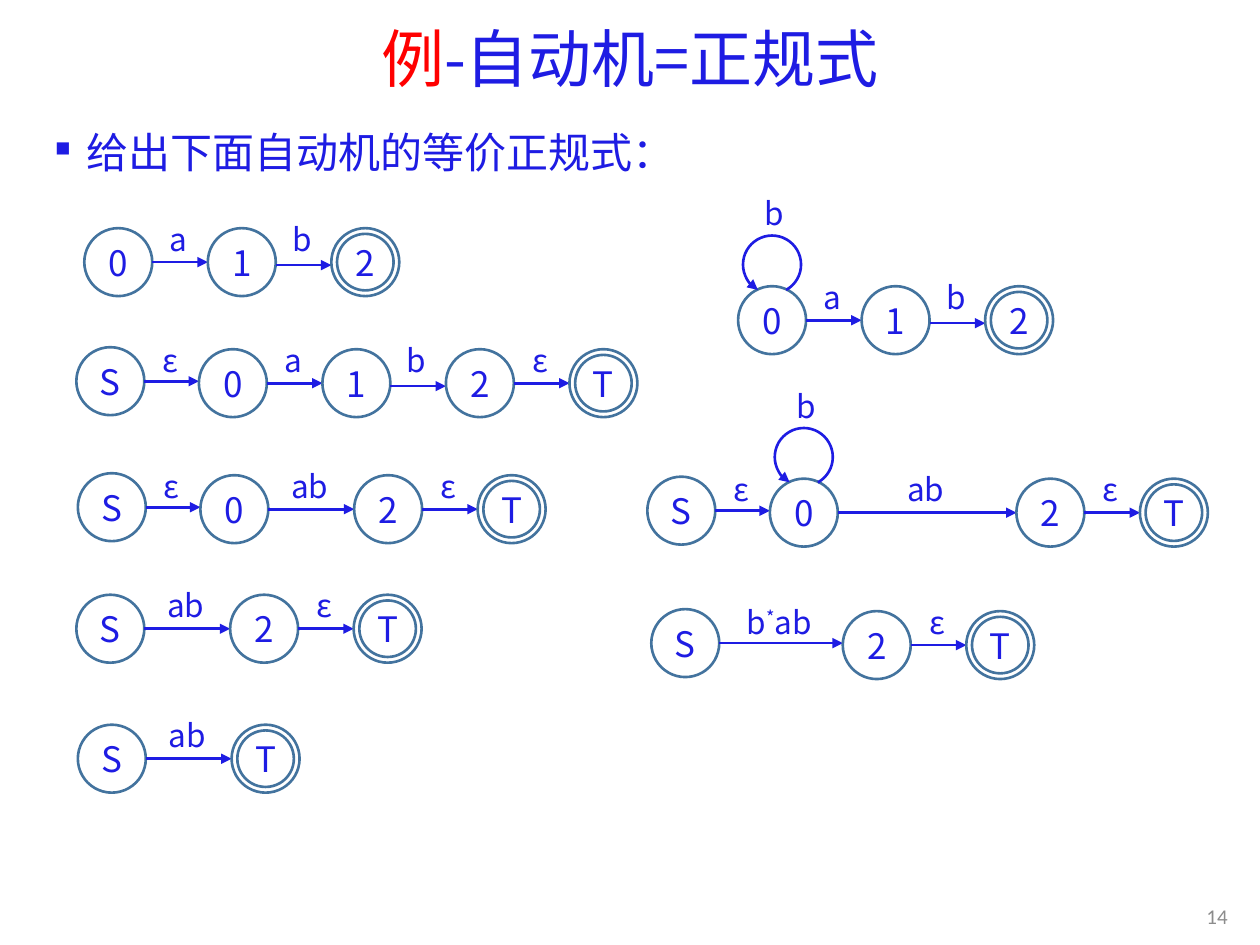
from lxml.etree import SubElement
from pptx import Presentation
from pptx.dml.color import RGBColor
from pptx.enum.shapes import MSO_CONNECTOR, MSO_SHAPE
from pptx.enum.text import MSO_ANCHOR, PP_ALIGN
from pptx.oxml.ns import qn
from pptx.util import Cm, Pt

BLUE, STEEL, RED, GREY = "1E1CE3", "43739E", "FF0000", "8C8C8C"
SANS, HEAD = "Noto Sans CJK SC", "Noto Sans CJK JP"
SIZE, RING, LOOP = 1.37, 1.14, 1.17   # diameters in cm
GAP, LEAD, WIDE = 1.12, 1.1, 1.73     # arrow lengths in cm
RISE, SAG = 0.04, 0.06                # S sits higher, b arrows lower


def color(code):
    return RGBColor.from_string(code)


def write(shape, parts, size, font=SANS, align=PP_ALIGN.CENTER,
          anchor=MSO_ANCHOR.MIDDLE, inset=0):
    """Fill a shape with one paragraph of (text, colour) runs."""
    frame = shape.text_frame
    frame.word_wrap = True
    frame.vertical_anchor = anchor
    frame.margin_left = frame.margin_right = Cm(inset)
    frame.margin_top = frame.margin_bottom = Cm(inset / 2)
    para = frame.paragraphs[0]
    para.alignment = align
    for text, code in parts:
        run = para.add_run()
        run.text = text
        run.font.size = Pt(size)
        run.font.name = font
        run.font.color.rgb = color(code)
        SubElement(run.font._element, qn("a:ea"), typeface=font)
        if text == "*":
            run.font._element.set("baseline", "30000")
    return para


def box(shapes, left, top, width, height):
    return shapes.add_textbox(Cm(left), Cm(top), Cm(width), Cm(height))


def outline(shapes, kind, left, top, size, code=STEEL):
    shape = shapes.add_shape(kind, Cm(left), Cm(top), Cm(size), Cm(size))
    shape.shadow.inherit = False
    shape.fill.background()
    shape.line.color.rgb = color(code)
    shape.line.width = Pt(1.5)
    return shape


def state(shapes, left, top, name, final):
    node = outline(shapes, MSO_SHAPE.OVAL, left, top, SIZE)
    write(node, [(name, BLUE)], 20)
    if final:
        pad = (SIZE - RING) / 2
        outline(shapes, MSO_SHAPE.OVAL, left + pad, top + pad, RING)


def label(shapes, mid, top, text):
    width = 2.4
    head, star, tail = text.partition("*")
    parts = [(part, BLUE) for part in (head, star, tail) if part]
    write(box(shapes, mid - width / 2, top, width, 0.94), parts, 18)


def arrow(shapes, left, level, length):
    line = shapes.add_connector(MSO_CONNECTOR.STRAIGHT, Cm(left), Cm(level),
                                Cm(left + length), Cm(level))
    line.line.color.rgb = color(BLUE)
    line.line.width = Pt(1.5)
    SubElement(line.line._get_or_add_ln(), qn("a:tailEnd"), type="triangle")
    SubElement(line._element.spPr, qn("a:effectLst"))


def loop(shapes, left, top, text):
    """Arc from a state back to itself, with its label above."""
    top -= 1.02
    arc = outline(shapes, MSO_SHAPE.ARC, left + (SIZE - LOOP) / 2, top, LOOP, BLUE)
    arc.adjustments[0], arc.adjustments[1] = 71.5, 36.5
    SubElement(arc.line._get_or_add_ln(), qn("a:headEnd"), type="triangle")
    label(shapes, left + SIZE / 2 + 0.05, top - 0.92, text)


def chain(slide, left, top, names, edges, rise=0, ring=""):
    """One automaton: states in a row, joined by (label, length) edges."""
    shapes = slide.shapes.add_group_shape().shapes
    for spot, name in enumerate(names):
        lift = rise if name == "S" else 0
        state(shapes, left, top - lift, name, spot == len(edges))
        if ring and name == "0":
            loop(shapes, left, top, ring)
        left += SIZE
        if spot < len(edges):
            text, length = edges[spot]
            sag = SAG if text == "b" else 0
            arrow(shapes, left, top - lift + SIZE / 2 + sag, length)
            label(shapes, left + length / 2 - 0.03, top - 0.26, text)
            left += length


def header(slide, left, top, width):
    title = box(slide.shapes, left + 0.89, top, width - 1.65, 1.57)
    para = write(title, [("例", RED), ("-自动机=正规式", BLUE)], 36, HEAD, inset=0.25)
    para.line_spacing = 0.9
    # Bulleted task line
    task = box(slide.shapes, left, top + 1.75, width, 1.75)
    para = write(task, [("给出下面自动机的等价正规式:".replace(":", "："), BLUE)], 24,
                 align=PP_ALIGN.LEFT, anchor=MSO_ANCHOR.TOP, inset=0.25)
    props = para._p.get_or_add_pPr()
    props.set("marL", str(Cm(0.64)))
    props.set("indent", str(Cm(-0.64)))
    para.line_spacing = Pt(35)
    para.space_after = Pt(6)
    SubElement(props, qn("a:buSzPct"), val="50000")
    SubElement(props, qn("a:buChar"), char="■")


def footer(slide, left, top):
    write(box(slide.shapes, left, top, 2.06, 1.02), [("14", GREY)], 12, "Calibri",
          PP_ALIGN.RIGHT, inset=0.25)


def main():
    deck = Presentation()
    deck.slide_width, deck.slide_height = Cm(25.4), Cm(19.05)
    slide = deck.slides.add_slide(deck.slide_layouts[6])
    header(slide, 0.86, 0.46, 23.55)
    footer(slide, 22.94, 17.96)

    first, last = ("ε", LEAD), ("ε", GAP)
    base = [("a", GAP), ("b", GAP)]
    # Left column: ab
    chain(slide, 1.7, 4.6, "012", base)
    chain(slide, 1.54, 7.04, "S012T", [first, *base, last], RISE)
    chain(slide, 1.57, 9.58, "S02T", [first, ("ab", WIDE), last], RISE)
    chain(slide, 1.54, 11.99, "S2T", [("ab", WIDE), last])
    chain(slide, 1.57, 14.61, "ST", [("ab", WIDE)])
    # Right column: b*ab
    chain(slide, 14.88, 5.77, "012", base, ring="b")
    chain(slide, 13.05, 9.65, "S02T", [first, ("ab", 3.6), last], RISE, "b")
    chain(slide, 13.13, 12.32, "S2T", [("b*ab", 2.49), last], RISE)
    deck.save("out.pptx")


if __name__ == "__main__":
    main()
